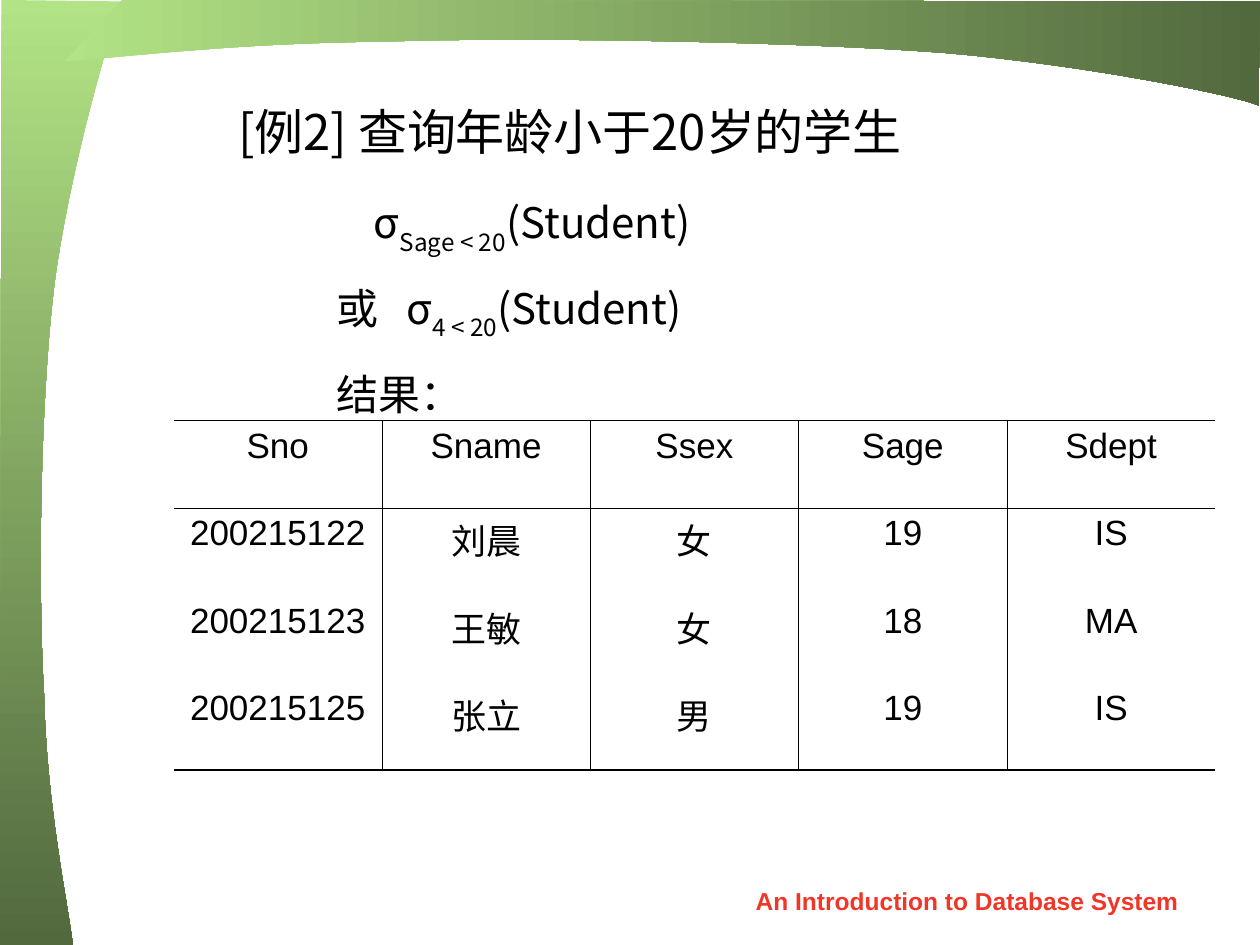
from lxml import etree
from pptx import Presentation
from pptx.dml import color
from pptx.enum import text
from pptx.oxml import ns
from pptx.util import Cm, Pt

COLOURS = {"light": "B2E385", "dark": "52693E", "ink": "000000", "footer": "F03628"}
LATIN, CHINESE = "Arial", "Noto Sans CJK SC"
THIN, THICK = 0.45, 1.08
CURVE_STEPS = 16

# Each band: start point, Bézier segments (two controls and an end), closing corners; in cm
LEFT_BAND = (
    (1.47, 19.05),
    [((1.37, 18.21), (0.94, 16.23), (0.89, 14.02)),
     ((0.76, 11.79), (0.81, 8.18), (1.09, 5.79)),
     ((1.37, 3.53), (2.31, 0.25), (2.49, 0.03))],
    [(0.03, 0), (0, 19.05)],
)
TOP_BAND = (
    (1.3, 1.24),
    [((2.36, 1.17), (4.78, 0.86), (7.75, 0.84)),
     ((10.54, 0.74), (16.05, 0.84), (19.08, 1.07)),
     ((21.97, 1.32), (25.07, 1.96), (25.37, 2.13))],
    [(25.4, 0.03), (2.46, 0)],
)

STUDENTS = [
    ("Sno", "Sname", "Ssex", "Sage", "Sdept"),
    ("200215122", "刘晨", "女", "19", "IS"),
    ("200215123", "王敏", "女", "18", "MA"),
    ("200215125", "张立", "男", "19", "IS"),
]


def rgb(name):
    return color.RGBColor.from_string(COLOURS[name])


def add_run(paragraph, words, size, font=CHINESE, colour="ink", bold=False, baseline=0):
    run = paragraph.add_run()
    run.text = words
    run.font.size, run.font.bold, run.font.name = Pt(size), bold, font
    run.font.color.rgb = rgb(colour)
    properties = run.font._element
    etree.SubElement(properties, ns.qn("a:ea")).set("typeface", CHINESE)
    if baseline:
        properties.set("baseline", str(baseline * 1000))


def add_text_box(slide, box):
    frame = slide.shapes.add_textbox(*(Cm(length) for length in box)).text_frame
    frame.word_wrap = True
    return frame


def set_indent(paragraph, left, first=0):
    properties = paragraph._p.get_or_add_pPr()
    properties.set("marL", str(Cm(left)))
    properties.set("indent", str(Cm(first)))


def curve_points(start, segments):
    """Sample a chain of cubic Bézier segments."""
    points = [start]
    for first, second, end in segments:
        origin = points[-1]
        for step in range(1, CURVE_STEPS + 1):
            t = step / CURVE_STEPS
            weights = ((1 - t) ** 3, 3 * t * (1 - t) ** 2, 3 * t * t * (1 - t), t ** 3)
            corners = (origin, first, second, end)
            points.append(tuple(sum(w * corner[axis] for w, corner in zip(weights, corners))
                                for axis in (0, 1)))
    return points


def add_band(slide, outline, angle):
    start, segments, corners = outline
    points = [(Cm(x), Cm(y)) for x, y in curve_points(start, segments) + corners]
    builder = slide.shapes.build_freeform(*points[0])
    builder.add_line_segments(points[1:], close=True)
    band = builder.convert_to_shape()
    band.shadow.inherit = False
    band.line.fill.background()
    band.fill.gradient()
    band.fill.gradient_angle = angle
    for stop, name in zip(band.fill.gradient_stops, ("light", "dark")):
        stop.color.rgb = rgb(name)


def add_footer(slide, box):
    paragraph = add_text_box(slide, box).paragraphs[0]
    paragraph.alignment = text.PP_ALIGN.CENTER
    add_run(paragraph, "An Introduction to Database System", 14, LATIN, "footer", bold=True)


def add_title(slide, box):
    paragraph = add_text_box(slide, box).paragraphs[0]
    paragraph.alignment = text.PP_ALIGN.JUSTIFY
    set_indent(paragraph, 0.97, -0.97)
    add_run(paragraph, "[例2] 查询年龄小于20岁的学生", 28)


def add_queries(slide, box):
    frame = add_text_box(slide, box)
    lines = [
        (3.3, 0, [("σ", 0), ("Sage < 20", -30), ("(Student)", 0)]),
        (3.96, -1.42, [("或\tσ", 0), ("4 < 20", -30), ("(Student)", 0)]),
        (2.54, 0, [("结果：", 0)]),
    ]
    for index, (left, first, runs) in enumerate(lines):
        paragraph = frame.add_paragraph() if index else frame.paragraphs[0]
        set_indent(paragraph, left, first)
        if index:
            paragraph.space_before = Pt(15)
        for words, baseline in runs:
            add_run(paragraph, words, 24, baseline=baseline)


def set_borders(cell, **widths):
    """Draw the given sides in points; a width of 0 means no line."""
    properties = cell._tc.get_or_add_tcPr()
    for position, side in enumerate("LRTB"):
        line = etree.Element(ns.qn(f"a:ln{side}"))
        if widths[side]:
            line.set("w", str(Pt(widths[side])))
            fill = etree.SubElement(line, ns.qn("a:solidFill"))
            etree.SubElement(fill, ns.qn("a:srgbClr")).set("val", COLOURS["ink"])
        else:
            etree.SubElement(line, ns.qn("a:noFill"))
        properties.insert(position, line)


def add_student_table(slide, box):
    left, top, width, height = (Cm(length) for length in box)
    row_count, column_count = len(STUDENTS), len(STUDENTS[0])
    table = slide.shapes.add_table(row_count, column_count, left, top, width, height).table
    table.first_row = table.horz_banding = False
    row_lines = [THICK, THIN] + [0] * (row_count - 2) + [THICK]
    column_lines = [0] + [THIN] * (column_count - 1) + [0]
    for row, values in enumerate(STUDENTS):
        for column, value in enumerate(values):
            cell = table.cell(row, column)
            cell.fill.background()
            set_borders(cell, L=column_lines[column], R=column_lines[column + 1],
                        T=row_lines[row], B=row_lines[row + 1])
            paragraph = cell.text_frame.paragraphs[0]
            paragraph.alignment = text.PP_ALIGN.CENTER
            add_run(paragraph, value, 20, LATIN)


def main():
    presentation = Presentation()
    presentation.slide_width, presentation.slide_height = Cm(25.4), Cm(19.05)
    slide = presentation.slides.add_slide(presentation.slide_layouts[6])
    add_band(slide, LEFT_BAND, 270)
    add_band(slide, TOP_BAND, 0)
    add_footer(slide, (14.5, 17.73, 10, 0.89))
    add_title(slide, (4.55, 1.93, 18.29, 1.7))
    add_student_table(slide, (3.5, 8.48, 21, 7.04))
    add_queries(slide, (3.99, 3.84, 18.21, 4.72))
    presentation.save("out.pptx")


if __name__ == "__main__":
    main()
